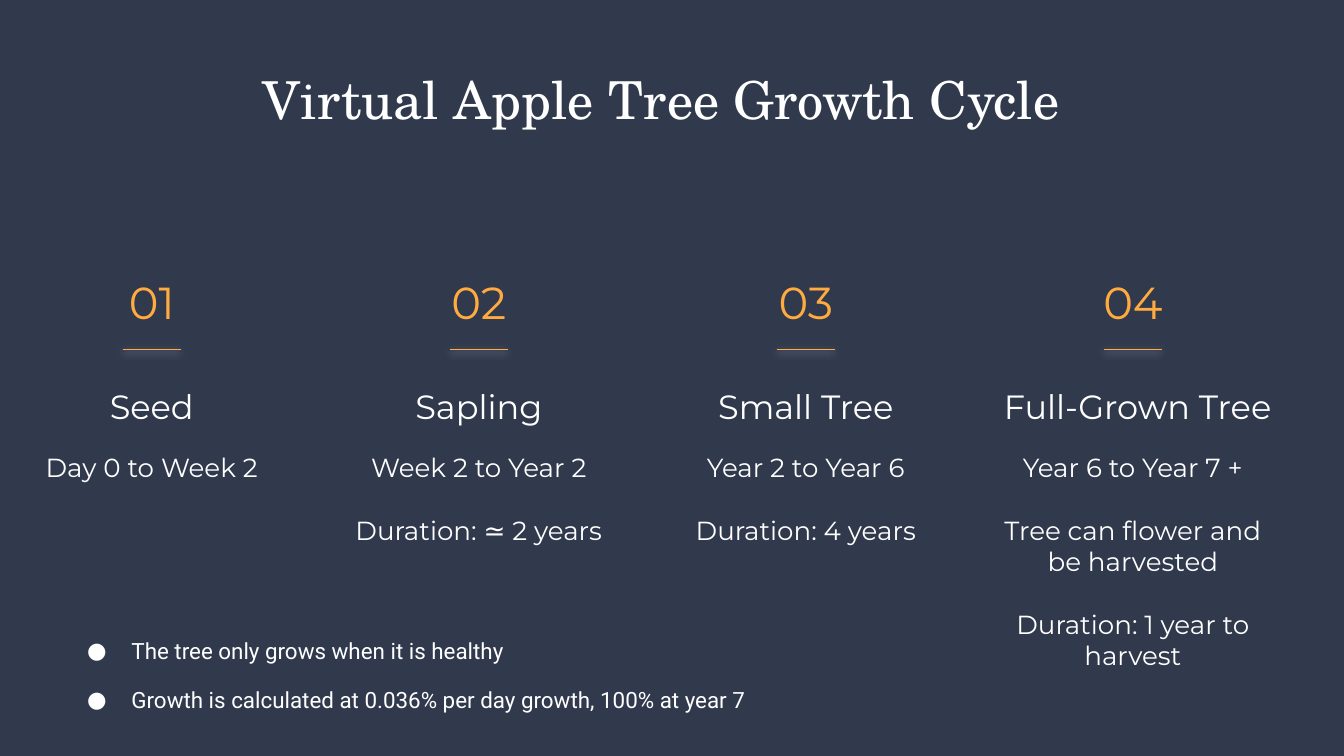
from dataclasses import dataclass

from lxml.etree import SubElement
from pptx import Presentation
from pptx.dml.color import RGBColor
from pptx.enum.shapes import MSO_CONNECTOR
from pptx.enum.text import MSO_ANCHOR, MSO_AUTO_SIZE, PP_ALIGN
from pptx.oxml import parse_xml
from pptx.oxml.ns import nsdecls, qn
from pptx.slide import Slide
from pptx.text.text import TextFrame
from pptx.util import Inches, Pt


@dataclass(frozen=True)
class Theme:
    back: str = "31394D"
    text: str = "FFFFFF"
    accent: str = "FFAB40"
    serif: str = "TeX Gyre Schola"
    sans: str = "Montserrat"
    note: str = "Roboto"
    title_size: int = 28
    num_size: int = 24
    head_size: int = 18
    body_size: int = 14
    note_size: int = 12


@dataclass(frozen=True)
class Box:
    left: float
    top: float
    width: float
    height: float


@dataclass(frozen=True)
class Style:
    font: str
    size: int
    color: str
    align: PP_ALIGN = PP_ALIGN.CENTER
    anchor: MSO_ANCHOR = MSO_ANCHOR.TOP
    gap: float = 0
    grow: bool = False


@dataclass(frozen=True)
class Stage:
    head: str
    lines: tuple[str, ...]
    head_width: float = 2.26
    body_width: float = 2.26
    body_height: float = 1.35


THEME = Theme()
TITLE = Style(THEME.serif, THEME.title_size, THEME.text, grow=True)
NUMBER = Style(THEME.sans, THEME.num_size, THEME.accent, anchor=MSO_ANCHOR.BOTTOM)
HEAD = Style(THEME.sans, THEME.head_size, THEME.text, anchor=MSO_ANCHOR.BOTTOM)
BODY = Style(THEME.sans, THEME.body_size, THEME.text, gap=16.8)
NOTE = Style(THEME.note, THEME.note_size, THEME.text, PP_ALIGN.LEFT, gap=10, grow=True)

STAGES = (
    Stage("Seed", ("Day 0 to Week 2",)),
    Stage("Sapling", ("Week 2 to Year 2", "Duration: ≃ 2 years"), body_width=2.38),
    Stage("Small Tree", ("Year 2 to Year 6", "Duration: 4 years")),
    Stage(
        "Full-Grown Tree",
        (
            "Year 6 to Year 7 +",
            "Tree can flower and be harvested",
            "Duration: 1 year to harvest",
        ),
        head_width=2.33,
        body_height=1.78,
    ),
)
NOTES = (
    "The tree only grows when it is healthy",
    "Growth is calculated at 0.036% per day growth, 100% at year 7",
)
PITCH = 7.3 / 3
WIDTH = 2.26
RULE_TOP = 2.6
RULE_WIDTH = 0.43


def add_text(slide: Slide, box: Box, lines: tuple[str, ...], style: Style) -> TextFrame:
    shape = slide.shapes.add_textbox(
        Inches(box.left), Inches(box.top), Inches(box.width), Inches(box.height)
    )
    frame = shape.text_frame
    frame.word_wrap = True
    frame.vertical_anchor = style.anchor
    frame.auto_size = MSO_AUTO_SIZE.SHAPE_TO_FIT_TEXT if style.grow else MSO_AUTO_SIZE.NONE
    frame.margin_left = frame.margin_right = Inches(0.1)
    frame.margin_top = frame.margin_bottom = Inches(0.1)
    frame.text = "\n".join(lines)
    for index, para in enumerate(frame.paragraphs):
        para.alignment = style.align
        if index:
            para.space_before = Pt(style.gap)
        for run in para.runs:
            run.font.name = style.font
            run.font.size = Pt(style.size)
            run.font.color.rgb = RGBColor.from_string(style.color)
    return frame


def add_rule(slide: Slide, left: float) -> None:
    """Draw a short line with a soft glow below it."""
    rule = slide.shapes.add_connector(
        MSO_CONNECTOR.STRAIGHT,
        Inches(left), Inches(RULE_TOP), Inches(left + RULE_WIDTH), Inches(RULE_TOP),
    )
    rule.line.color.rgb = RGBColor.from_string(THEME.accent)
    rule.line.width = Pt(0.75)
    rule._element.spPr.append(parse_xml(
        f'<a:effectLst {nsdecls("a")}>'
        f'<a:outerShdw blurRad="{Pt(4.5)}" dist="{Pt(1.5)}" dir="5400000"'
        ' algn="bl" rotWithShape="0">'
        f'<a:srgbClr val="{THEME.text}"><a:alpha val="50000"/></a:srgbClr>'
        '</a:outerShdw></a:effectLst>'
    ))


def add_stage(slide: Slide, index: int, stage: Stage) -> None:
    left = index * PITCH
    body_left = left + (WIDTH - stage.body_width) / 2
    add_text(slide, Box(left, 1.75, WIDTH, 0.79), (f"{index + 1:02}",), NUMBER)
    add_rule(slide, left + (WIDTH - RULE_WIDTH) / 2)
    add_text(slide, Box(left, 2.67, stage.head_width, 0.6), (stage.head,), HEAD)
    body = Box(body_left, 3.26, stage.body_width, stage.body_height)
    add_text(slide, body, stage.lines, BODY)


def add_bullets(frame: TextFrame) -> None:
    for para in frame.paragraphs:
        para.line_spacing = 1.15
        props = para._p.get_or_add_pPr()
        props.set("marL", str(Inches(0.5)))
        props.set("indent", str(Inches(-0.33)))
        color = SubElement(props, qn("a:buClr"))
        SubElement(color, qn("a:srgbClr"), val=THEME.text)
        SubElement(props, qn("a:buSzPts"), val=str(THEME.note_size * 100))
        SubElement(props, qn("a:buFont"), typeface=THEME.note)
        SubElement(props, qn("a:buChar"), char="●")
    frame.paragraphs[-1].space_after = Pt(NOTE.gap)


def main() -> None:
    deck = Presentation()
    deck.slide_width = Inches(10)
    deck.slide_height = deck.slide_width * 9 // 16
    slide = deck.slides.add_slide(deck.slide_layouts[6])
    fill = slide.background.fill
    fill.solid()
    fill.fore_color.rgb = RGBColor.from_string(THEME.back)

    add_text(slide, Box(0.38, 0.4, 9.08, 0.67), ("Virtual Apple Tree Growth Cycle",), TITLE)
    for index, stage in enumerate(STAGES):
        add_stage(slide, index, stage)
    add_bullets(add_text(slide, Box(0.38, 4.61, 5.44, 0.78), NOTES, NOTE))
    deck.save("out.pptx")


if __name__ == "__main__":
    main()
